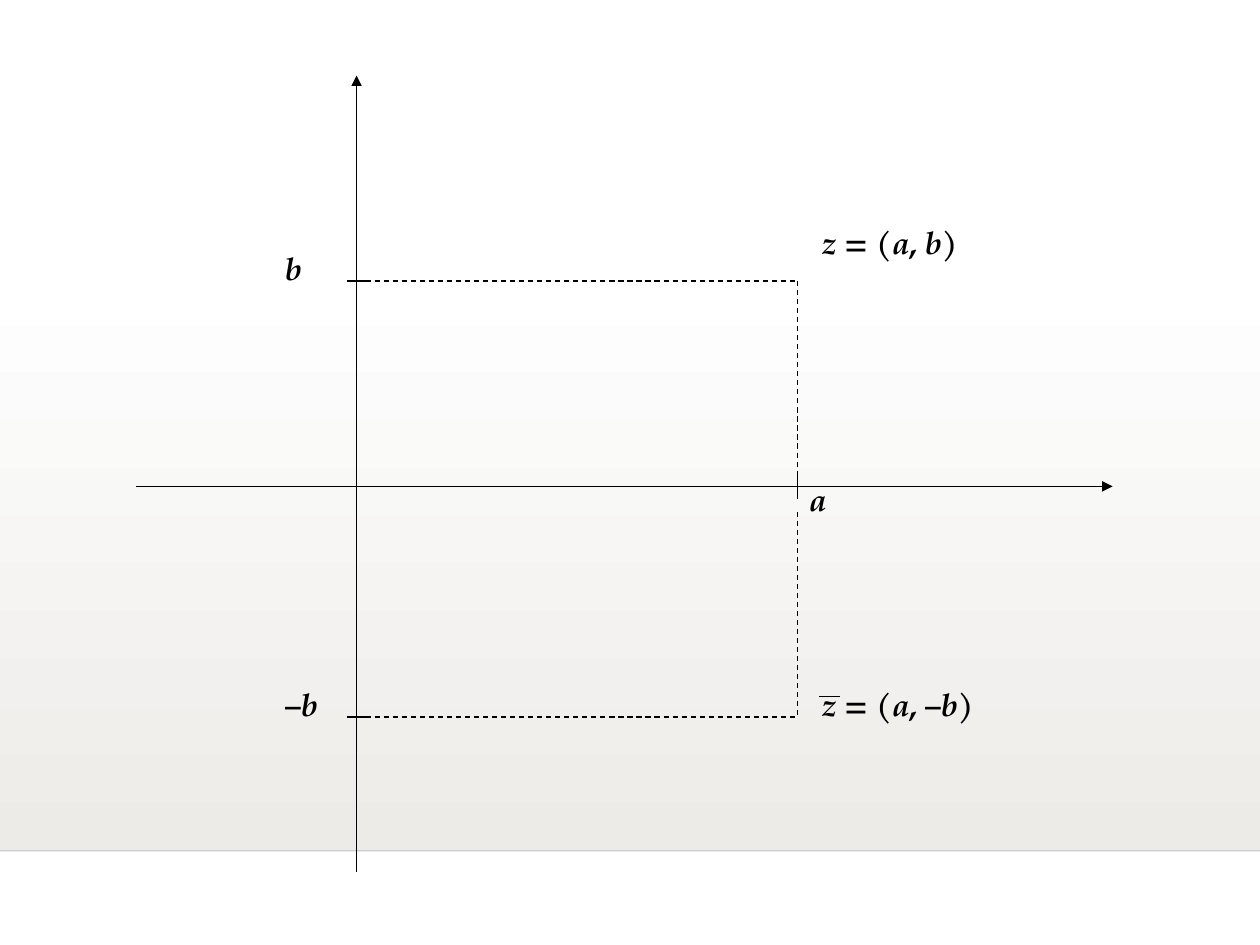
from dataclasses import dataclass

from lxml.etree import SubElement
from pptx import Presentation
from pptx.dml.color import RGBColor
from pptx.enum.dml import MSO_LINE
from pptx.enum.shapes import MSO_CONNECTOR, MSO_SHAPE
from pptx.enum.text import MSO_AUTO_SIZE
from pptx.oxml.ns import qn
from pptx.shapes.connector import Connector
from pptx.slide import Slide
from pptx.util import Inches, Pt

BLACK = RGBColor(0x00, 0x00, 0x00)
WHITE = RGBColor(0xFF, 0xFF, 0xFF)
SAND = RGBColor(0xED, 0xEB, 0xE7)
EDGE = RGBColor(0x00, 0x00, 0x01)
FONT = "TeX Gyre Pagella"
LEFT, RIGHT = 2.83, 6.33
TOP, MID, LOW = 2.23, 3.86, 5.69


@dataclass
class Line:
    x1: float
    y1: float
    x2: float
    y2: float
    dash: bool = False
    arrow: bool = False


@dataclass
class Label:
    x: float
    y: float
    width: float
    terms: tuple[str, ...]


AXES = [
    Line(1.08, MID, 8.83, MID, arrow=True),
    Line(LEFT, 6.92, LEFT, 0.6, arrow=True),
]
TICKS = [
    Line(RIGHT, MID - 0.1, RIGHT, MID + 0.1),
    *[Line(2.75, y, 2.92, y) for y in (TOP, LOW)],
]
GUIDES = [
    Line(RIGHT, TOP, RIGHT, MID, dash=True),
    Line(RIGHT, 4.06, RIGHT, LOW, dash=True),
    *[Line(LEFT, y, RIGHT, y, dash=True) for y in (TOP, LOW)],
]
BAR = Line(6.5, 5.53, 6.67, 5.53)
LABELS = [
    Label(6.33, 3.76, 0.58, ("a",)),
    Label(2.17, 1.93, 0.58, ("b",)),
    Label(2.17, 5.39, 0.58, ("–", "b")),
    Label(6.42, 1.72, 2.42, ("z = ", "(", "a", ", ", "b", ")")),
    Label(6.42, 5.39, 2.17, ("z", " = (", "a", ", –", "b", ")")),
]


def draw_line(slide: Slide, item: Line, color: RGBColor = BLACK, width: float = 0.75) -> Connector:
    """Draw a straight line, dashed or with an arrowhead if asked."""
    ends = [Inches(n) for n in (item.x1, item.y1, item.x2, item.y2)]
    shape = slide.shapes.add_connector(MSO_CONNECTOR.STRAIGHT, *ends)
    shape.line.color.rgb = color
    shape.line.width = Pt(width)
    if item.dash:
        shape.line.dash_style = MSO_LINE.DASH
    if item.arrow:
        SubElement(shape.line._get_or_add_ln(), qn("a:tailEnd"), type="triangle")
    SubElement(shape._element.spPr, qn("a:effectLst"))
    return shape


def draw_label(slide: Slide, item: Label) -> None:
    """Write a math label with its letters in italics."""
    box = slide.shapes.add_textbox(
        Inches(item.x), Inches(item.y), Inches(item.width), Inches(0.4)
    )
    frame = box.text_frame
    frame.word_wrap = True
    frame.auto_size = MSO_AUTO_SIZE.SHAPE_TO_FIT_TEXT
    for term in item.terms:
        run = frame.paragraphs[0].add_run()
        run.text = term
        run.font.name = FONT
        run.font.size = Pt(18)
        run.font.bold = True
        run.font.italic = term[0].isalpha()
        run.font.color.rgb = BLACK


def draw_floor(slide: Slide) -> None:
    """Draw the shaded band and its faint lower edge."""
    band = slide.shapes.add_shape(
        MSO_SHAPE.RECTANGLE, 0, Inches(2.2), Inches(10), Inches(4.54)
    )
    band.shadow.inherit = False
    band.line.fill.background()
    band.fill.gradient()
    band.fill.gradient_angle = 270
    for stop, color in zip(band.fill.gradient_stops, (WHITE, SAND)):
        stop.color.rgb = color
    edge = draw_line(slide, Line(0, 6.75, 10, 6.75), EDGE, 1)
    tint = edge.line._get_or_add_ln().find(".//" + qn("a:srgbClr"))
    SubElement(tint, qn("a:alpha"), val="20000")


def main() -> None:
    """Build the slide of a complex number and its conjugate."""
    deck = Presentation()
    deck.slide_width, deck.slide_height = Inches(10), Inches(7.5)
    slide = deck.slides.add_slide(deck.slide_layouts[6])
    slide.background.fill.solid()
    slide.background.fill.fore_color.rgb = WHITE
    draw_floor(slide)
    for line in [*AXES, *TICKS, *GUIDES, BAR]:
        draw_line(slide, line)
    for label in LABELS:
        draw_label(slide, label)
    deck.save("out.pptx")


if __name__ == "__main__":
    main()
